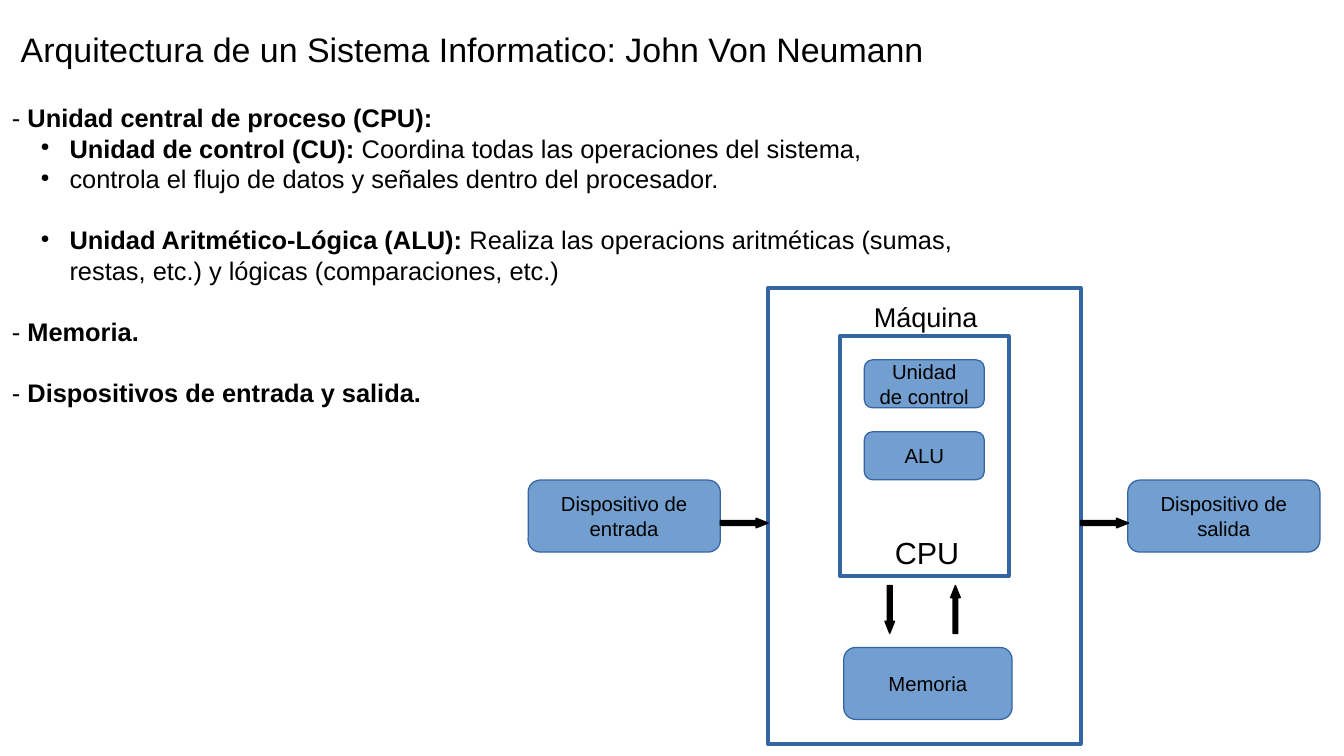
from lxml.etree import SubElement
from pptx import Presentation
from pptx.dml.color import RGBColor
from pptx.enum.shapes import MSO_SHAPE
from pptx.enum.text import MSO_ANCHOR, PP_ALIGN
from pptx.oxml.ns import qn
from pptx.util import Pt

BLACK, BLUE, NAVY = "000000", "729FCF", "3465A4"
BODY_SIZE = 15
BODY_LINE = 18
OUTLINE = [
    (False, 0, [("- ", False), ("Unidad central de proceso (CPU):", True)]),
    (True, 0, [("Unidad de control (CU): ", True),
               ("Coordina todas las operaciones del sistema,", False)]),
    (True, 0, [("controla el flujo de datos y señales dentro del procesador.", False)]),
    (True, BODY_LINE, [("Unidad Aritmético-Lógica (ALU): ", True),
                       ("Realiza las operacions aritméticas (sumas, restas, etc.) "
                        "y lógicas (comparaciones, etc.)", False)]),
    (False, BODY_LINE, [("- ", False), ("Memoria.", True)]),
    (False, BODY_LINE, [("- ", False), ("Dispositivos de entrada y salida.", True)]),
]


def color(value):
    """Turn a hex string into a colour."""
    return RGBColor.from_string(value)


def points(*lengths):
    """Turn numbers into lengths in points."""
    return [Pt(length) for length in lengths]


def add_run(paragraph, text, size, bold=False):
    """Append one black Arial run."""
    run = paragraph.add_run()
    run.text = text
    run.font.name = "Arial"
    run.font.size = Pt(size)
    run.font.bold = bold
    run.font.color.rgb = color(BLACK)


def add_bullet(paragraph):
    """Give a paragraph a hanging indent and a small round bullet."""
    properties = paragraph._p.get_or_add_pPr()
    properties.set("marL", str(Pt(34)))
    properties.set("indent", str(Pt(-17)))
    bullet_color = SubElement(properties, qn("a:buClr"))
    SubElement(bullet_color, qn("a:srgbClr"), val=BLACK)
    SubElement(properties, qn("a:buSzPct"), val="45000")
    SubElement(properties, qn("a:buChar"), char="●")


def add_title(slide, left, top, width, height):
    """Place and format the slide title."""
    title = slide.shapes.title
    title.left, title.top, title.width, title.height = points(left, top, width, height)
    frame = title.text_frame
    frame.word_wrap = False
    frame.vertical_anchor = MSO_ANCHOR.TOP
    heading = frame.paragraphs[0]
    heading.alignment = PP_ALIGN.LEFT
    add_run(heading, "Arquitectura de un Sistema Informatico: John Von Neumann", 20)


def add_outline(slide, left, top, width, height):
    """Write the list of components."""
    frame = slide.shapes.add_textbox(*points(left, top, width, height)).text_frame
    frame.word_wrap = True
    for index, (bulleted, gap, runs) in enumerate(OUTLINE):
        paragraph = frame.add_paragraph() if index else frame.paragraphs[0]
        if gap:
            paragraph.space_before = Pt(gap)
        if bulleted:
            add_bullet(paragraph)
        for text, bold in runs:
            add_run(paragraph, text, BODY_SIZE, bold)


def add_block(slide, kind, box, fill, line, weight):
    """Draw a shape without shadow; a fill of None leaves it hollow."""
    block = slide.shapes.add_shape(kind, *points(*box))
    block.shadow.inherit = False
    if fill:
        block.fill.solid()
        block.fill.fore_color.rgb = color(fill)
    else:
        block.fill.background()
    block.line.color.rgb = color(line)
    block.line.width = Pt(weight)
    return block


def add_unit(slide, text, *box):
    """Draw a rounded, labelled unit."""
    unit = add_block(slide, MSO_SHAPE.FLOWCHART_ALTERNATE_PROCESS, box, BLUE, NAVY, 0)
    frame = unit.text_frame
    frame.word_wrap = True
    frame.vertical_anchor = MSO_ANCHOR.MIDDLE
    frame.paragraphs[0].alignment = PP_ALIGN.CENTER
    add_run(frame.paragraphs[0], text, 12)


def add_frame(slide, *box):
    """Draw a hollow frame around a group of units."""
    add_block(slide, MSO_SHAPE.FLOWCHART_PROCESS, box, None, NAVY, 2.3)


def add_label(slide, text, size, *box):
    """Write a centred label."""
    frame = slide.shapes.add_textbox(*points(*box)).text_frame
    frame.word_wrap = True
    frame.paragraphs[0].alignment = PP_ALIGN.CENTER
    add_run(frame.paragraphs[0], text, size)


def add_flow(slide, left, top, rotation=0):
    """Draw a block arrow for the flow of data."""
    flow = add_block(slide, MSO_SHAPE.RIGHT_ARROW, (left, top, 28.3, 5.7), BLACK, BLACK, 0.79)
    flow.adjustments[0] = 0.5
    flow.adjustments[1] = 1.25
    flow.rotation = rotation


def add_cpu(slide, left, top, width, height):
    """Draw the CPU with its two inner units."""
    add_frame(slide, left, top, width, height)
    for row, name in enumerate(("Unidad de control", "ALU")):
        add_unit(slide, name, left + 14.3, top + 14 + row * 42.5, 70.8, 28.3)
    add_label(slide, "CPU", 18, left + 25, top + height - 28.7, 52.6, 27.4)


def add_machine(slide, left, top, width, height):
    """Draw the machine with CPU and memory."""
    add_frame(slide, left, top, width, height)
    add_label(slide, "Máquina", 16, left + 50, top + 4, 86, 25.2)
    add_cpu(slide, left + 42.5, top + 28.5, 99.4, 141.8)
    for offset, rotation in ((57.6, 90), (96.4, 270)):
        add_flow(slide, left + offset, top + 187, rotation)
    add_unit(slide, "Memoria", left + 44.6, top + 212.3, 99.4, 42.5)


def add_architecture(slide, left, top, width, height):
    """Draw the machine between its input and output devices."""
    device_width, machine_left, machine_width = 113.4, left + 141.7, 184.5
    add_machine(slide, machine_left, top, machine_width, height)
    output_left = left + width - device_width
    for name, device_left in (("Dispositivo de entrada", left),
                              ("Dispositivo de salida", output_left)):
        add_unit(slide, name, device_left, top + 113.5, device_width, 42.5)
    for flow_left in (left + device_width, machine_left + machine_width):
        add_flow(slide, flow_left, top + 136)


def main():
    """Build and save the slide."""
    presentation = Presentation()
    presentation.slide_width, presentation.slide_height = points(793.44, 446.4)
    slide = presentation.slides.add_slide(presentation.slide_layouts[5])
    add_title(slide, 5, 13, 548, 29.5)
    add_outline(slide, 0, 57, 609, 232.5)
    add_architecture(slide, 311.8, 170, 467.4, 269.3)
    presentation.save("out.pptx")


if __name__ == "__main__":
    main()
